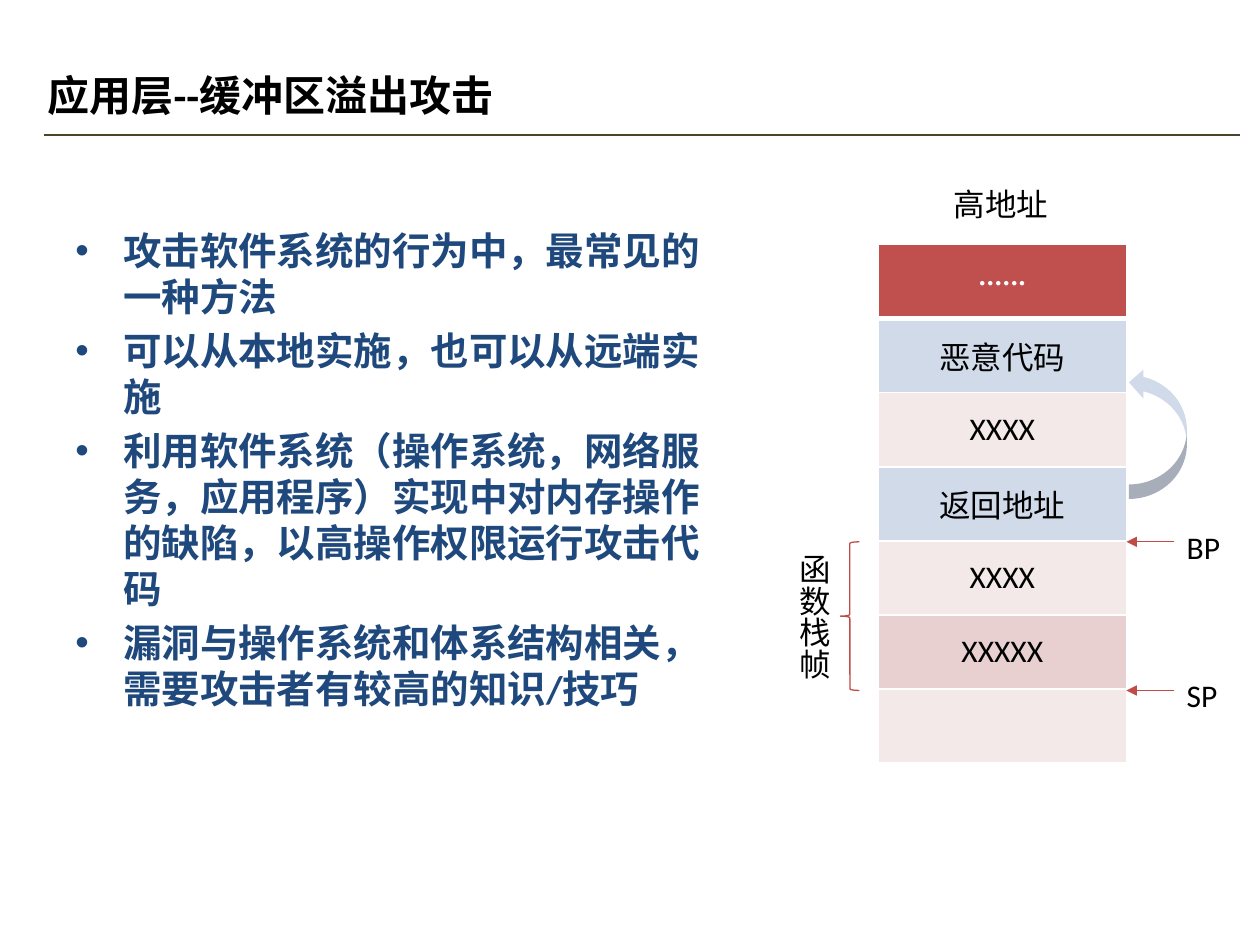
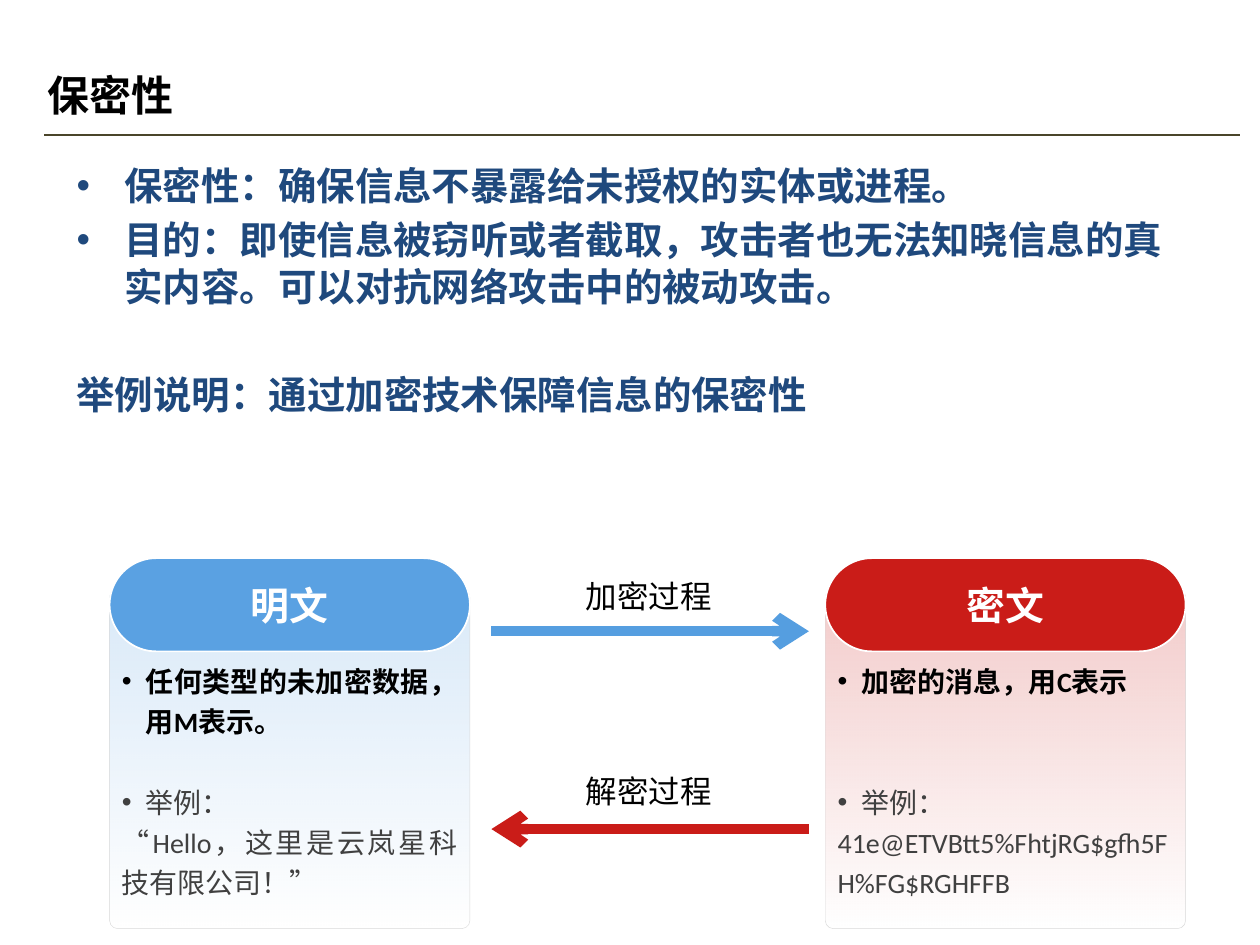
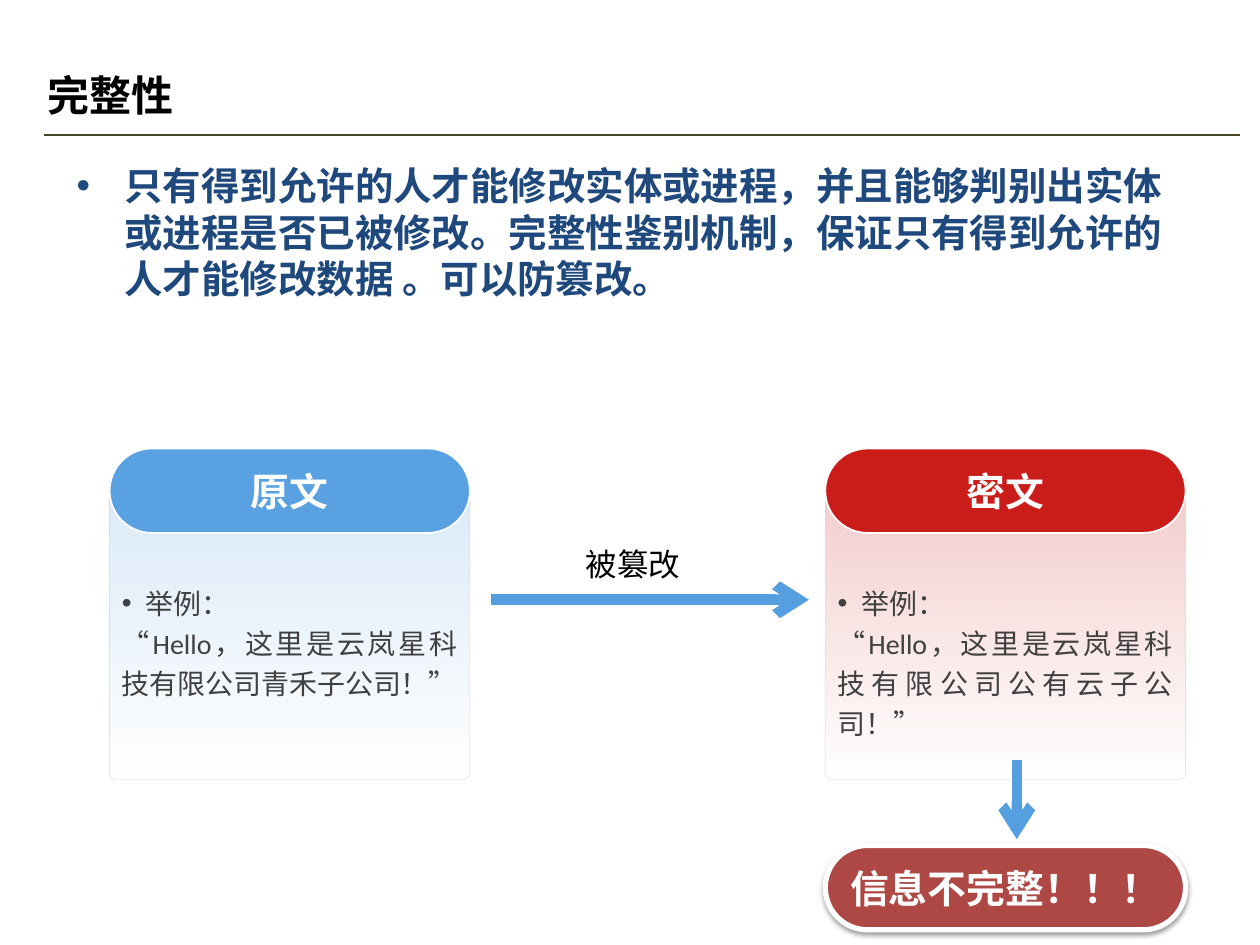
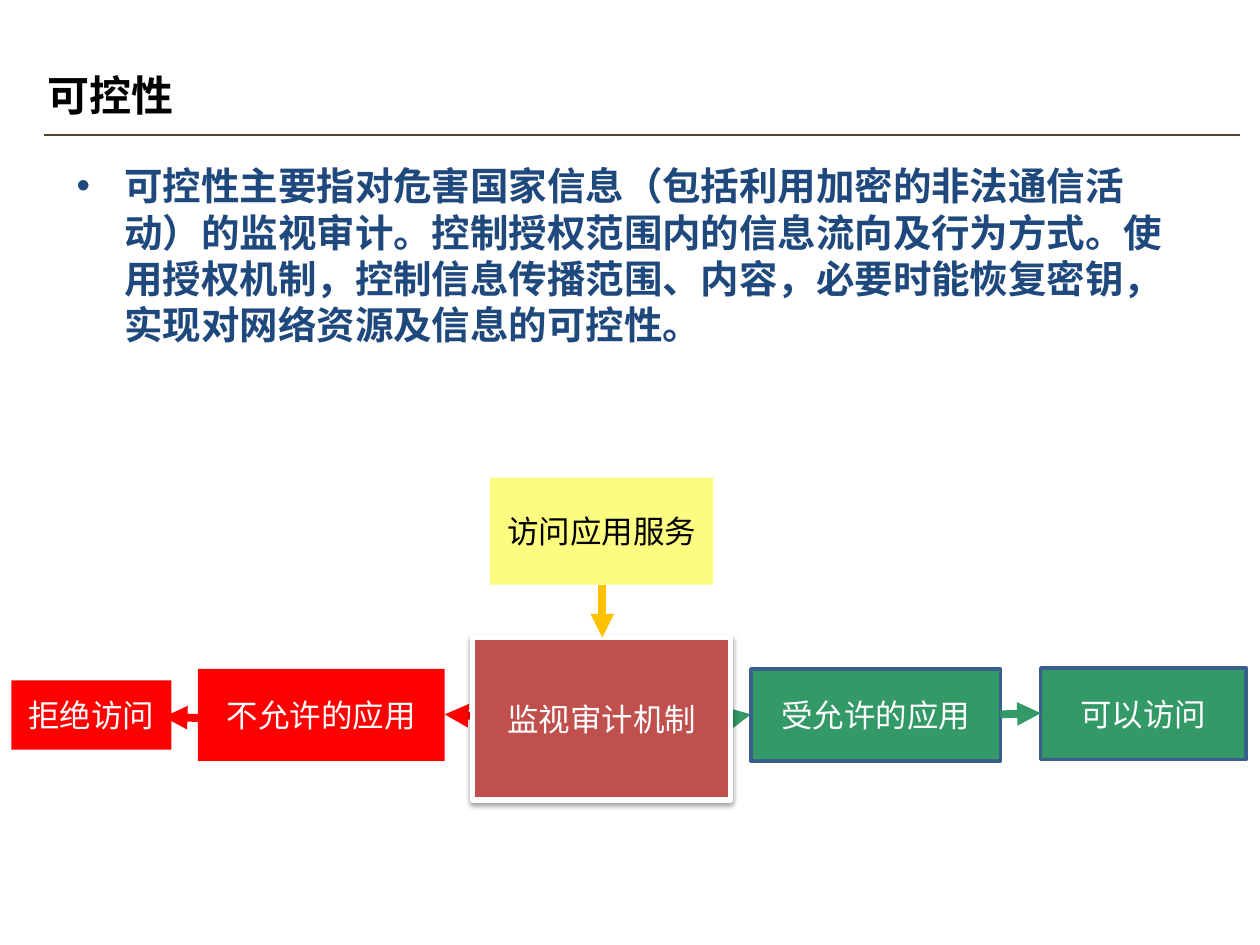
from dataclasses import dataclass

from lxml.etree import SubElement
from pptx import Presentation
from pptx.dml.color import RGBColor
from pptx.enum.shapes import MSO_CONNECTOR, MSO_SHAPE
from pptx.enum.text import MSO_ANCHOR, MSO_AUTO_SIZE, PP_ALIGN
from pptx.oxml.ns import qn
from pptx.util import Inches, Pt

FONT = "Calibri"
COLORS = {
    "black": "000000", "white": "FFFFFF", "gray": "404040", "border": "D9D9D9",
    "rule": "4A452A", "body": "1F497D", "blue": "5AA1E2", "arrow blue": "559EE0",
    "red": "CA1C18", "dark red": "AE4845", "brick": "C0504D", "marker": "BF4C48",
    "pale blue": "D1DAE9", "pale pink": "F4E9E9", "pink": "E8D0D0",
    "denied": "FF0000", "allowed": "339966", "outline": "3A5F8C",
    "yellow": "FCFC80", "amber": "FFC000",
}
CARD_LEFTS = {"blue": 0.87, "red": 6.55}
CARD_WIDTH = 2.86
BLANK_LINE = 23  # points taken by one line of card text


def rgb(name):
    return RGBColor.from_string(COLORS[name])


@dataclass
class Item:
    text: str
    bullet: bool = True
    gap: float = 0
    bold: bool = False
    color: str = "gray"


class Deck:
    def __init__(self):
        self.presentation = Presentation()
        self.presentation.slide_width = Inches(10)
        self.presentation.slide_height = Inches(7.5)
        self.slide = None

    def new_slide(self, title):
        layout = self.presentation.slide_layouts[6]
        self.slide = self.presentation.slides.add_slide(layout)
        self.line((0.35, 1.07), (9.84, 1.07), "rule", 1)
        frame = self.text_box(0.28, 0.29, 9, 0.93)
        frame.vertical_anchor = MSO_ANCHOR.MIDDLE
        self.set_text(frame.paragraphs[0], title, 24, bold=True)

    def set_text(self, paragraph, text, size, color="black", bold=False, align=None):
        paragraph.text = text
        paragraph.alignment = align
        for run in paragraph.runs:
            run.font.name = FONT
            run.font.size = Pt(size)
            run.font.bold = bold
            run.font.color.rgb = rgb(color)

    def text_box(self, left, top, width, height):
        box = self.slide.shapes.add_textbox(
            Inches(left), Inches(top), Inches(width), Inches(height))
        box.text_frame.word_wrap = True
        return box.text_frame

    def label(self, text, left, top, width, height=0.4, spacing=None, vertical=False):
        frame = self.text_box(left, top, width, height)
        frame.word_wrap = vertical
        frame.auto_size = MSO_AUTO_SIZE.SHAPE_TO_FIT_TEXT
        if vertical:
            frame._txBody.bodyPr.set("vert", "eaVert")
        self.set_text(frame.paragraphs[0], text, 18)
        frame.paragraphs[0].line_spacing = spacing

    def items(self, frame, items, size, indent, spacing=None, align=None):
        for index, item in enumerate(items):
            paragraph = frame.add_paragraph() if index else frame.paragraphs[0]
            if item.bullet:
                properties = paragraph._p.get_or_add_pPr()
                properties.set("marL", str(Inches(indent)))
                properties.set("indent", str(-Inches(indent)))
                SubElement(properties, qn("a:buFont"), typeface="Arial")
                SubElement(properties, qn("a:buChar"), char="•")
            self.set_text(paragraph, item.text, size, item.color, item.bold, align)
            paragraph.line_spacing = spacing
            if index:
                paragraph.space_before = Pt(item.gap)

    def body(self, *texts, left=0.51, top=1.24, width=9, closing=None):
        """Bulleted body text, with an optional closing line set apart."""
        items = [Item(text, gap=4.4, bold=True, color="body") for text in texts]
        if closing:
            items.append(Item(closing, False, 35.5, True, "body"))
        self.items(self.text_box(left, top, width, 4.95), items, 22, 0.38)

    def line(self, start, end, color, width, head=None):
        connector = self.slide.shapes.add_connector(
            MSO_CONNECTOR.STRAIGHT, *(Inches(value) for value in (*start, *end)))
        connector.line.color.rgb = rgb(color)
        connector.line.width = Pt(width)
        properties = connector._element.spPr
        if head:
            SubElement(properties.find(qn("a:ln")), qn("a:tailEnd"), type=head)
        SubElement(properties, qn("a:effectLst"))

    def shape(self, kind, left, top, width, height, fill=None, outline=None,
              line_width=1, shadow=False):
        shape = self.slide.shapes.add_shape(
            kind, Inches(left), Inches(top), Inches(width), Inches(height))
        shape.shadow.inherit = False
        if fill:
            shape.fill.solid()
            shape.fill.fore_color.rgb = rgb(fill)
        else:
            shape.fill.background()
        if outline:
            shape.line.color.rgb = rgb(outline)
            shape.line.width = Pt(line_width)
        else:
            shape.line.fill.background()
        if shadow:
            effects = shape._element.spPr.find(qn("a:effectLst"))
            outer = SubElement(effects, qn("a:outerShdw"), blurRad=str(Pt(3.1)),
                               dist=str(Pt(1.6)), dir="5400000", rotWithShape="0")
            color = SubElement(outer, qn("a:srgbClr"), val=COLORS["black"])
            SubElement(color, qn("a:alpha"), val="38000")
        return shape

    def box(self, text, left, top, width, height, fill, color="white", **style):
        shape = self.shape(MSO_SHAPE.RECTANGLE, left, top, width, height, fill, **style)
        shape.text_frame.vertical_anchor = MSO_ANCHOR.MIDDLE
        self.set_text(shape.text_frame.paragraphs[0], text, 18, color,
                      align=PP_ALIGN.CENTER)

    def pill(self, text, left, top, height, fill, **style):
        shape = self.shape(MSO_SHAPE.ROUNDED_RECTANGLE, left, top, CARD_WIDTH, height,
                           fill, "white", **style)
        shape.adjustments[0] = 0.5
        shape.text_frame.word_wrap = False
        shape.text_frame.vertical_anchor = MSO_ANCHOR.MIDDLE
        self.set_text(shape.text_frame.paragraphs[0], text, 22.2, "white", True,
                      PP_ALIGN.CENTER)

    def card(self, title, color, top, pill_height, bottom, items, text_offset=0):
        """Fading panel with a pill heading and justified text below it."""
        left = CARD_LEFTS[color]
        panel_top = top + pill_height / 3
        panel = self.shape(MSO_SHAPE.ROUNDED_RECTANGLE, left, panel_top, CARD_WIDTH,
                           bottom - panel_top, outline="border", line_width=0.25)
        panel.adjustments[0] = 0.024
        panel.fill.gradient()
        panel.fill.gradient_angle = 270
        for stop in panel.fill.gradient_stops:
            stop.color.rgb = rgb(color)
        stops = panel._element.spPr.iter(qn("a:gs"))
        for stop, alpha in zip(stops, ("23000", "0")):
            SubElement(stop[0], qn("a:alpha"), val=alpha)
        self.pill(title, left, top, pill_height, color)
        text_top = top + pill_height + text_offset
        frame = self.text_box(left, text_top, CARD_WIDTH, bottom - text_top)
        self.items(frame, items, 16, 0.19, 1.2, PP_ALIGN.JUSTIFY)

    def border(self, cell, bottom_width):
        properties = cell._tc.get_or_add_tcPr()
        for side, width in (("L", 1), ("R", 1), ("T", 1), ("B", bottom_width)):
            line = SubElement(properties, qn("a:ln" + side), w=str(Pt(width)))
            fill = SubElement(line, qn("a:solidFill"))
            SubElement(fill, qn("a:srgbClr"), val=COLORS["white"])

    def stack(self, rows, left, top, width, height):
        """One-column table of (text, fill) rows; the first row is the heading."""
        table = self.slide.shapes.add_table(
            len(rows), 1, Inches(left), Inches(top), Inches(width), Inches(height)).table
        table.first_row = table.horz_banding = False
        for index, (text, fill) in enumerate(rows):
            cell = table.cell(index, 0)
            self.border(cell, 1 if index else 3)
            cell.fill.solid()
            cell.fill.fore_color.rgb = rgb(fill)
            cell.vertical_anchor = MSO_ANCHOR.MIDDLE
            self.set_text(cell.text_frame.paragraphs[0], text, 18,
                          "black" if index else "white", align=PP_ALIGN.CENTER)


def buffer_overflow(deck):
    deck.new_slide("应用层--缓冲区溢出攻击")
    deck.body("攻击软件系统的行为中，最常见的一种方法",
              "可以从本地实施，也可以从远端实施",
              "利用软件系统（操作系统，网络服务，应用程序）实现中对内存操作的缺陷，以高操作权限运行攻击代码",
              "漏洞与操作系统和体系结构相关，需要攻击者有较高的知识/技巧",
              left=0.5, top=1.75, width=5.29)
    deck.stack([("······", "brick"), ("恶意代码", "pale blue"), ("XXXX", "pale pink"),
                ("返回地址", "pale blue"), ("XXXX", "pale pink"), ("XXXXX", "pink"),
                ("", "pale pink")], 6.97, 1.94, 1.97, 4.12)
    frame_top, frame_bottom = 4.3, 5.48
    for pointer, y in (("BP", frame_top), ("SP", frame_bottom)):
        deck.label(pointer, 9.32, y - 0.16, 0.5)
        deck.line((9.32, y), (8.94, y), "marker", 0.75, "triangle")
    jump = deck.shape(MSO_SHAPE.CURVED_LEFT_ARROW, 8.96, 2.92, 0.46, 1.04, "pale blue")
    jump.rotation = 180
    jump._element.spPr.find(qn("a:xfrm")).set("flipH", "1")
    deck.label("函数栈帧", 6.16, frame_top, 0.5, 1.26, vertical=True)
    deck.shape(MSO_SHAPE.LEFT_BRACE, 6.67, frame_top, 0.15, frame_bottom - frame_top,
               outline="marker", line_width=0.75)
    deck.label("高地址", 7.47, 1.42, 0.96)


def confidentiality(deck):
    deck.new_slide("保密性")
    deck.body("保密性：确保信息不暴露给未授权的实体或进程。",
              "目的：即使信息被窃听或者截取，攻击者也无法知晓信息的真实内容。可以对抗网络攻击中的被动攻击。",
              closing="举例说明：通过加密技术保障信息的保密性")
    cards = [
        ("明文", "blue", "任何类型的未加密数据，用M表示。", 1,
         "“Hello，这里是云岚星科技有限公司！”"),
        ("密文", "red", "加密的消息，用C表示", 2,
         "41e@ETVBtt5%FhtjRG$gfh5FH%FG$RGHFFB"),
    ]
    for title, color, meaning, blank_lines, example in cards:
        deck.card(title, color, 4.43, 0.74, 7.37, [
            Item(meaning, bold=True, color="black"),
            Item("举例：", gap=blank_lines * BLANK_LINE),
            Item(example, bullet=False)])
    deck.line((3.9, 5.01), (6.42, 5.01), "arrow blue", 6, "arrow")
    deck.line((6.42, 6.58), (3.9, 6.58), "red", 6, "arrow")
    for text, top in (("加密过程", 4.47), ("解密过程", 6.02)):
        deck.label(text, 4.55, top, 1.21, 0.43, 1.2)


def integrity(deck):
    deck.new_slide("完整性")
    deck.body("只有得到允许的人才能修改实体或进程，并且能够判别出实体或进程是否已被修改。"
              "完整性鉴别机制，保证只有得到允许的人才能修改数据 。可以防篡改。")
    cards = [("原文", "blue", "“Hello，这里是云岚星科技有限公司青禾子公司！”"),
             ("密文", "red", "“Hello，这里是云岚星科技有限公司公有云子公司！”")]
    for title, color, example in cards:
        deck.card(title, color, 3.56, 0.67, 6.19,
                  [Item("举例："), Item(example, bullet=False)], text_offset=0.32)
    deck.pill("信息不完整！！！", CARD_LEFTS["red"], 6.71, 0.67, "dark red",
              line_width=3, shadow=True)
    deck.line((3.9, 4.76), (6.42, 4.76), "arrow blue", 6, "arrow")
    deck.label("被篡改", 4.55, 4.22, 0.96, 0.43, 1.2)
    deck.line((8.07, 6.03), (8.07, 6.66), "arrow blue", 6, "arrow")


def controllability(deck):
    deck.new_slide("可控性")
    deck.body("可控性主要指对危害国家信息（包括利用加密的非法通信活动）的监视审计。"
              "控制授权范围内的信息流向及行为方式。使用授权机制，控制信息传播范围、内容，"
              "必要时能恢复密钥，实现对网络资源及信息的可控性。")
    deck.line((5.8, 5.7), (5.96, 5.67), "allowed", 4.5, "triangle")
    deck.line((3.89, 5.69), (3.53, 5.67), "denied", 4.5, "triangle")
    deck.box("监视审计机制", 3.75, 5.06, 2.05, 1.29, "brick",
             outline="white", line_width=3, shadow=True)
    for text, left, top, width in (("可以访问", 8.26, 5.3, 1.63),
                                   ("受允许的应用", 5.96, 5.31, 1.98)):
        deck.box(text, left, top, width, 0.73, "allowed",
                 outline="outline", line_width=2)
    deck.box("不允许的应用", 1.57, 5.31, 1.96, 0.73, "denied")
    deck.box("拒绝访问", 0.09, 5.4, 1.27, 0.55, "denied")
    deck.box("访问应用服务", 3.89, 3.79, 1.77, 0.85, "yellow", "black")
    deck.line((4.78, 4.64), (4.78, 5.06), "amber", 4.5, "triangle")
    deck.line((7.94, 5.67), (8.26, 5.66), "allowed", 4.5, "triangle")
    deck.line((1.62, 5.7), (1.3, 5.69), "denied", 4.5, "triangle")


def main():
    deck = Deck()
    for build in (buffer_overflow, confidentiality, integrity, controllability):
        build(deck)
    deck.presentation.save("out.pptx")


if __name__ == "__main__":
    main()
